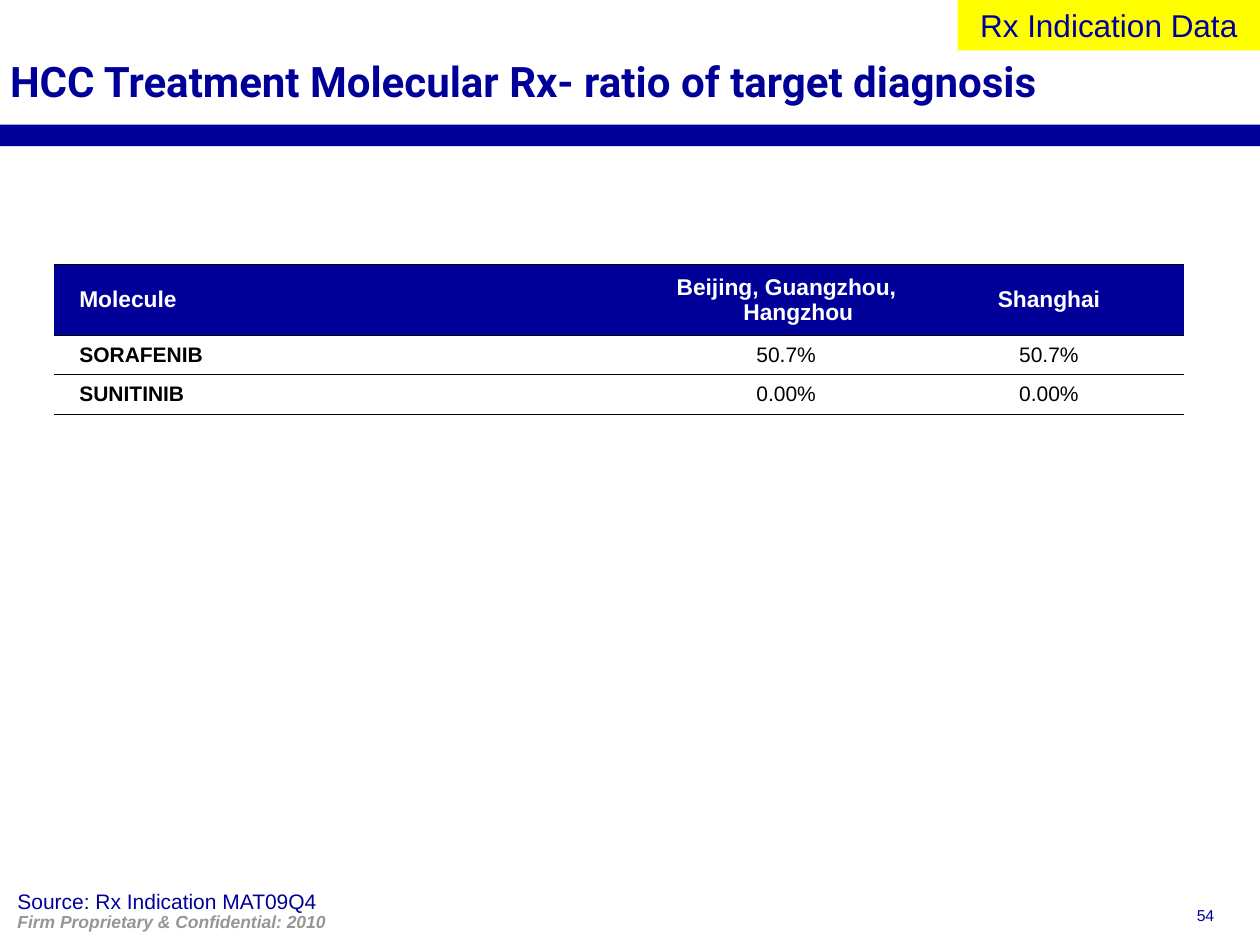
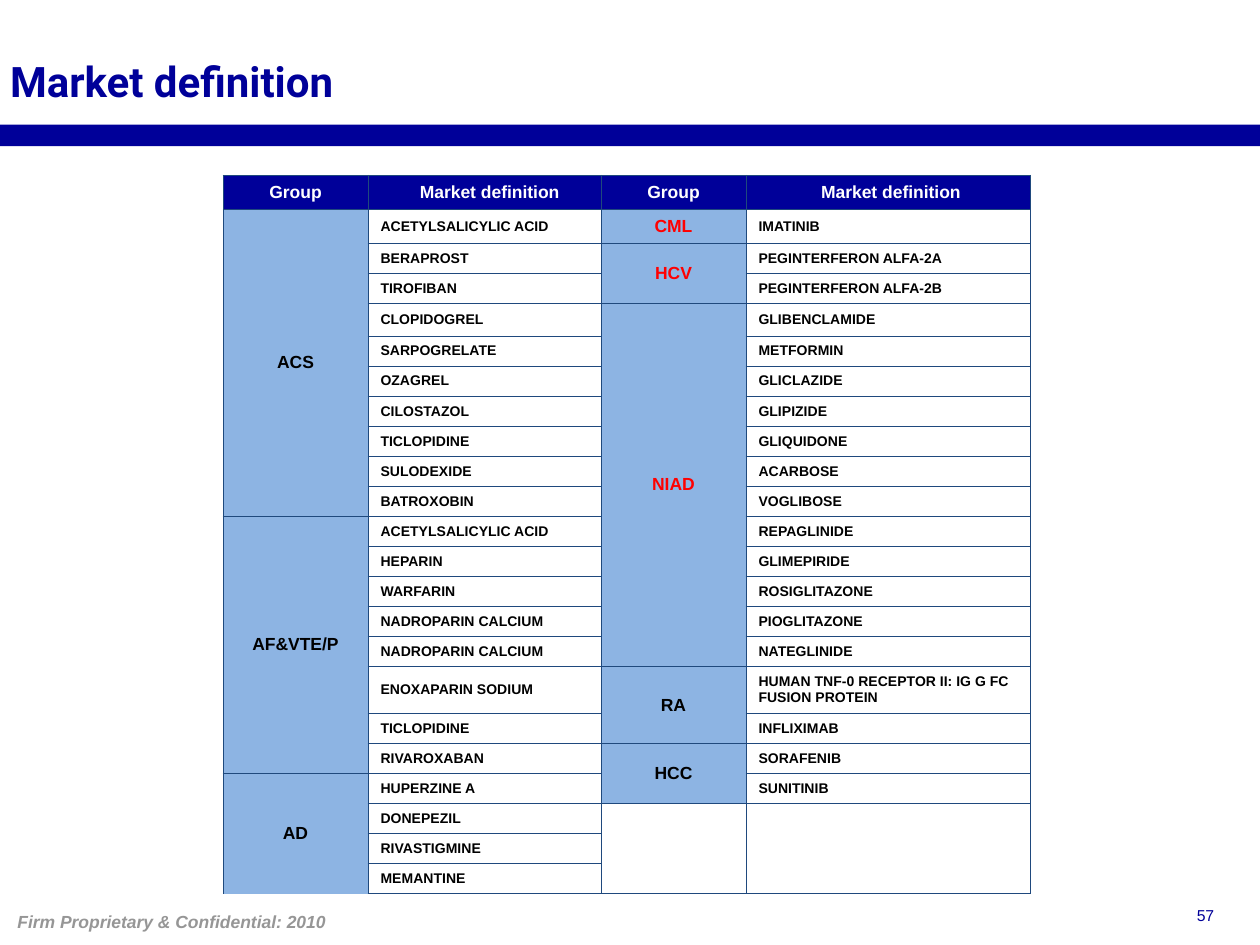
from dataclasses import dataclass

import lxml.etree
import pptx
import pptx.dml.color
import pptx.enum.shapes
import pptx.enum.text
import pptx.oxml.ns
import pptx.util

Inches = pptx.util.Inches
Pt = pptx.util.Pt
ALIGN = pptx.enum.text.PP_ALIGN
ANCHOR = pptx.enum.text.MSO_ANCHOR
qn = pptx.oxml.ns.qn


@dataclass(frozen=True)
class Theme:
    navy: str = "000099"
    yellow: str = "FFFF00"
    group_blue: str = "8DB4E3"
    grid_blue: str = "1F497D"
    red: str = "FF0000"
    black: str = "000000"
    white: str = "FFFFFF"
    grey: str = "969696"
    body_font: str = "Arial"
    title_font: str = "Roboto"
    title: int = 24
    tag: int = 18
    ratio_header: int = 13
    ratio_body: int = 12
    confidential: int = 10
    group: int = 10
    page: int = 9
    molecule: int = 8
    border: float = 0.45


THEME = Theme()
NO_STYLE = "{2D5ABB26-0587-4C30-8999-92F81FD0307C}"

MARKETS_LEFT = {
    "ACS": ["ACETYLSALICYLIC ACID", "BERAPROST", "TIROFIBAN", "CLOPIDOGREL",
            "SARPOGRELATE", "OZAGREL", "CILOSTAZOL", "TICLOPIDINE",
            "SULODEXIDE", "BATROXOBIN"],
    "AF&VTE/P": ["ACETYLSALICYLIC ACID", "HEPARIN", "WARFARIN",
                 "NADROPARIN CALCIUM", "NADROPARIN CALCIUM",
                 "ENOXAPARIN SODIUM", "TICLOPIDINE", "RIVAROXABAN"],
    "AD": ["HUPERZINE A", "DONEPEZIL", "RIVASTIGMINE", "MEMANTINE"],
}
MARKETS_RIGHT = {
    "CML": ["IMATINIB"],
    "HCV": ["PEGINTERFERON ALFA-2A", "PEGINTERFERON ALFA-2B"],
    "NIAD": ["GLIBENCLAMIDE", "METFORMIN", "GLICLAZIDE", "GLIPIZIDE",
             "GLIQUIDONE", "ACARBOSE", "VOGLIBOSE", "REPAGLINIDE",
             "GLIMEPIRIDE", "ROSIGLITAZONE", "PIOGLITAZONE", "NATEGLINIDE"],
    "RA": ["HUMAN TNF-0 RECEPTOR II: IG G FC FUSION PROTEIN", "INFLIXIMAB"],
    "HCC": ["SORAFENIB", "SUNITINIB"],
}
RED_GROUPS = {"CML", "HCV", "NIAD"}


def rgb(color):
    return pptx.dml.color.RGBColor.from_string(color)


def write_text(frame, text, *, size, color=THEME.black, font=THEME.body_font,
               bold=False, italic=False, align=ALIGN.LEFT, hanging=0):
    paragraph = frame.paragraphs[0]
    paragraph.alignment = align
    if hanging:
        properties = paragraph._p.get_or_add_pPr()
        properties.set("marL", str(Inches(hanging)))
        properties.set("indent", str(-Inches(hanging)))
    run = paragraph.add_run()
    run.text = text
    run.font.size = Pt(size)
    run.font.name = font
    run.font.bold = bold
    run.font.italic = italic
    run.font.color.rgb = rgb(color)


def add_label(slide, text, left, top, width, height, inset=True, **text_format):
    frame = slide.shapes.add_textbox(
        Inches(left), Inches(top), Inches(width), Inches(height)).text_frame
    frame.word_wrap = True
    if not inset:
        frame.margin_left = frame.margin_right = 0
        frame.margin_top = frame.margin_bottom = 0
    write_text(frame, text, **text_format)


def add_band(slide, left, top, width, height, color):
    band = slide.shapes.add_shape(
        pptx.enum.shapes.MSO_SHAPE.RECTANGLE,
        Inches(left), Inches(top), Inches(width), Inches(height))
    band.shadow.inherit = False
    band.fill.solid()
    band.fill.fore_color.rgb = rgb(color)
    band.line.fill.background()
    return band


def add_plain_table(slide, left, top, column_widths, row_heights):
    table = slide.shapes.add_table(
        len(row_heights), len(column_widths), Inches(left), Inches(top),
        Inches(sum(column_widths)), Inches(sum(row_heights))).table
    table.first_row = table.horz_banding = False
    table._tbl.tblPr.find(qn("a:tableStyleId")).text = NO_STYLE
    for column, width in zip(table.columns, column_widths):
        column.width = Inches(width)
    for row, height in zip(table.rows, row_heights):
        row.height = Inches(height)
    for cell in table.iter_cells():
        cell.fill.background()
        cell.vertical_anchor = ANCHOR.MIDDLE
    return table


def fill_cell(cell, text, fill=None, left_inset=0.1, **text_format):
    cell.margin_left = Inches(left_inset)
    if fill:
        cell.fill.solid()
        cell.fill.fore_color.rgb = rgb(fill)
    write_text(cell.text_frame, text, **text_format)


def set_borders(cell, sides, color):
    properties = cell._tc.get_or_add_tcPr()
    drawn = [side for side in "LRTB" if side in sides]
    for position, side in enumerate(drawn):
        line = lxml.etree.Element(qn(f"a:ln{side}"), w=str(Pt(THEME.border)))
        solid = lxml.etree.SubElement(line, qn("a:solidFill"))
        lxml.etree.SubElement(solid, qn("a:srgbClr"), val=color)
        properties.insert(position, line)


def add_page(deck, title, page_number):
    slide = deck.slides.add_slide(deck.slide_layouts[6])
    add_band(slide, 0, 0.99, 10, 0.17, THEME.navy)
    add_label(slide, page_number, 9.4, 7.14, 0.6, 0.25,
              size=THEME.page, color=THEME.navy)
    add_label(slide, "Firm Proprietary & Confidential: 2010", 0.04, 7.18, 6.22, 0.27,
              size=THEME.confidential, color=THEME.grey, bold=True, italic=True)
    add_label(slide, title, 0.08, 0.44, 9.73, 0.4, inset=False, size=THEME.title,
              color=THEME.navy, font=THEME.title_font, bold=True)
    return slide


def add_ratio_table(slide):
    header = ["Molecule", "Beijing, Guangzhou, Hangzhou", "Shanghai"]
    ratios = [["SORAFENIB", "50.7%", "50.7%"], ["SUNITINIB", "0.00%", "0.00%"]]
    table = add_plain_table(slide, 0.43, 2.1, [4.8, 2.02, 2.15], [0.56, 0.31, 0.32])
    for row, texts in enumerate([header] + ratios):
        for column, text in enumerate(texts):
            cell = table.cell(row, column)
            is_molecule = column == 0
            placing = (dict(left_inset=0.2) if is_molecule
                       else dict(align=ALIGN.CENTER))
            if row == 0:
                fill_cell(cell, text, fill=THEME.navy, size=THEME.ratio_header,
                          color=THEME.white, bold=True,
                          hanging=0 if is_molecule else 0.19, **placing)
                set_borders(cell, "TB", THEME.black)
            else:
                fill_cell(cell, text, size=THEME.ratio_body, bold=is_molecule,
                          **placing)
                set_borders(cell, "T" if row == 1 else "B", THEME.black)


def fill_markets(table, group_column, markets):
    row = 1
    for group, molecules in markets.items():
        group_cell = table.cell(row, group_column)
        if len(molecules) > 1:
            group_cell.merge(table.cell(row + len(molecules) - 1, group_column))
        fill_cell(group_cell, group, fill=THEME.group_blue, size=THEME.group,
                  color=THEME.red if group in RED_GROUPS else THEME.black,
                  bold=True, align=ALIGN.CENTER)
        for molecule in molecules:
            fill_cell(table.cell(row, group_column + 1), molecule,
                      size=THEME.molecule, bold=True)
            row += 1
    return row


def market_row_heights(row_count, total):
    special = {0: 0.27, 1: 0.27, 4: 0.26, 16: 0.37}
    regular = (total - sum(special.values())) / (row_count - len(special))
    return [special.get(row, regular) for row in range(row_count)]


def add_market_table(slide):
    row_count = 1 + sum(map(len, MARKETS_LEFT.values()))
    table = add_plain_table(slide, 1.77, 1.39, [1.15, 1.85, 1.15, 2.26],
                            market_row_heights(row_count, 5.71))
    headings = [("Group", 0.1), ("Market definition", 0.18),
                ("Group", 0.1), ("Market definition", 0.14)]
    for column, (heading, left_inset) in enumerate(headings):
        fill_cell(table.cell(0, column), heading, fill=THEME.navy,
                  left_inset=left_inset, size=THEME.group, color=THEME.white,
                  bold=True, align=ALIGN.CENTER)
    fill_markets(table, 0, MARKETS_LEFT)
    first_free_row = fill_markets(table, 2, MARKETS_RIGHT)
    for column in (2, 3):
        table.cell(first_free_row, column).merge(table.cell(row_count - 1, column))
    for row in range(row_count):
        for column in range(len(headings)):
            cell = table.cell(row, column)
            set_borders(cell, "LRT" if column == 0 else "LRTB", THEME.grid_blue)
            if not cell.text:
                lxml.etree.SubElement(cell.text_frame.paragraphs[0]._p,
                                      qn("a:endParaRPr"),
                                      sz=str(THEME.molecule * 100))


def main():
    deck = pptx.Presentation()
    deck.slide_width, deck.slide_height = Inches(10), Inches(7.5)

    ratio_page = add_page(
        deck, "HCC Treatment Molecular Rx- ratio of target diagnosis", "54")
    add_ratio_table(ratio_page)
    add_label(ratio_page, "Source: Rx Indication MAT09Q4", 0.04, 7, 6.46, 0.3,
              size=THEME.ratio_body, color=THEME.navy)
    data_tag = add_band(ratio_page, 7.6, 0, 2.4, 0.4, THEME.yellow)
    write_text(data_tag.text_frame, "Rx Indication Data", size=THEME.tag,
               color=THEME.navy, align=ALIGN.CENTER)

    add_market_table(add_page(deck, "Market definition", "57"))
    deck.save("out.pptx")


if __name__ == "__main__":
    main()
